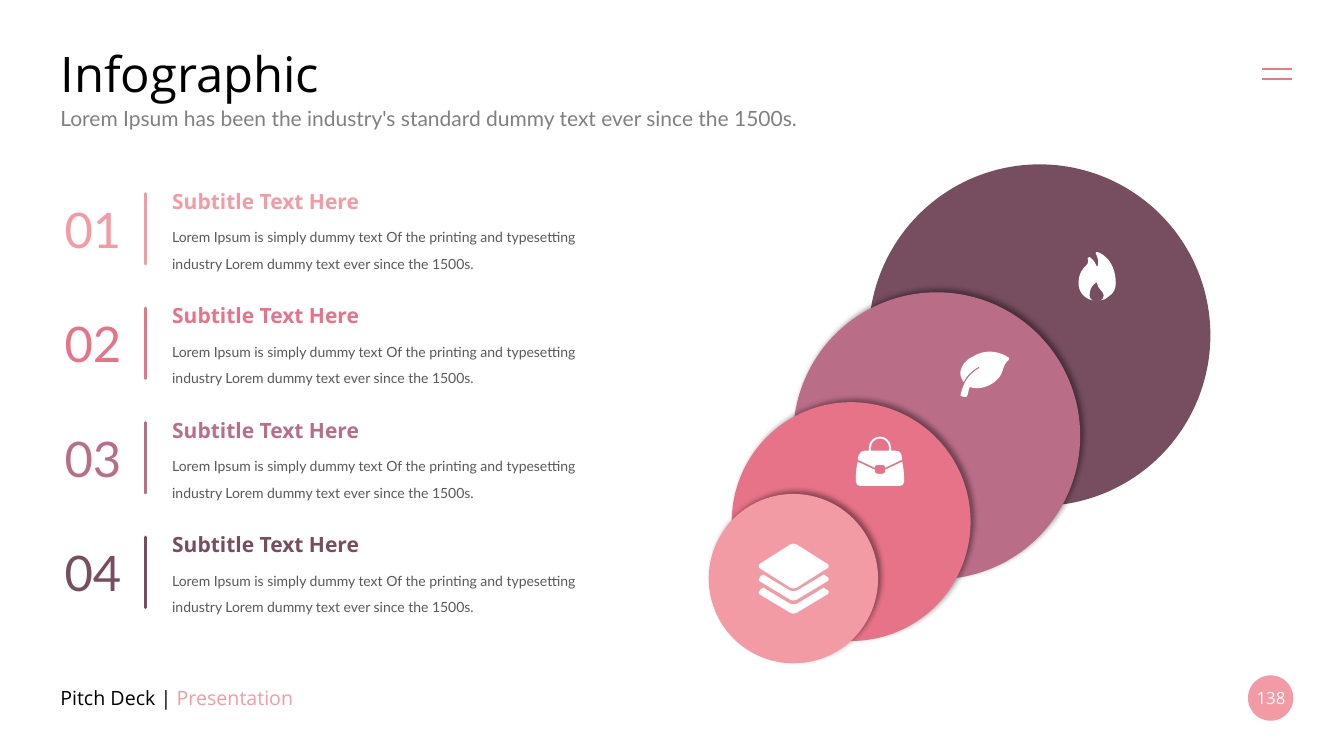
import lxml.etree
import pptx
import pptx.dml.color
import pptx.enum.shapes
import pptx.enum.text
import pptx.oxml.ns
import pptx.util

Pt = pptx.util.Pt
RGBColor = pptx.dml.color.RGBColor
ALIGN = pptx.enum.text.PP_ALIGN
ANCHOR = pptx.enum.text.MSO_ANCHOR
OVAL = pptx.enum.shapes.MSO_SHAPE.OVAL
STRAIGHT = pptx.enum.shapes.MSO_CONNECTOR.STRAIGHT
qn = pptx.oxml.ns.qn

BLACK = RGBColor(0x00, 0x00, 0x00)
WHITE = RGBColor(0xFF, 0xFF, 0xFF)
GRAY = RGBColor(0x80, 0x80, 0x80)
DARK_GRAY = RGBColor(0x59, 0x59, 0x59)
PINK = RGBColor(0xF2, 0x9B, 0xA5)
CORAL = RGBColor(0xED, 0x78, 0x85)
ROSE = RGBColor(0xE7, 0x73, 0x88)
MAUVE = RGBColor(0xBA, 0x6D, 0x87)
PLUM = RGBColor(0x77, 0x4E, 0x60)

ICON_UNIT = 0.72
ITEM_PITCH = 81.8
BODY = ("Lorem Ipsum is simply dummy text Of the printing and typesetting "
        "industry Lorem dummy text ever since the 1500s.")

FLAME = [[
    (28, 6), (23, 1, 19, 0, 18, 0), (17, 1), (20, 7, 20, 11, 19, 14), (18, 14),
    (16, 8, 11, 5, 11, 5), (9, 6), (11, 11, 8, 13, 5, 16), (2, 20, 0, 24, 0, 31),
    (0, 39, 5, 46, 14, 48), (12, 47, 11, 46, 11, 43), (11, 33, 18, 30, 18, 30),
    (19, 37, 25, 39, 25, 43), (25, 46, 24, 47, 22, 48), (25, 48, 28, 46, 30, 44),
    (35, 41, 37, 36, 37, 31), (37, 18, 32, 10, 28, 6),
]]
LEAF = [[
    (49, 8), (37, 0, 24, 0, 13, 7), (6, 10, 2, 16, 1, 21), (0, 25, 2, 29, 4, 32),
    (7, 26, 12, 21, 19, 17), (20, 18), (7, 25, 3, 36, 1, 45), (1, 46), (5, 47),
    (7, 47, 7, 47, 8, 45), (8, 42, 10, 39, 10, 37), (20, 41, 33, 35, 38, 29),
    (41, 26, 42, 23, 43, 20), (44, 16, 46, 12, 49, 10),
]]
BAG = [
    [(19, 30), (19, 29, 20, 28, 22, 28), (26, 28), (28, 28, 29, 29, 29, 30), (29, 31),
     (46, 23), (46, 21, 45, 19, 45, 17), (44, 15, 42, 14, 39, 14), (35, 14), (35, 11),
     (35, 5, 30, 0, 24, 0), (18, 0, 13, 5, 13, 11), (13, 14), (9, 14),
     (6, 14, 4, 16, 4, 17), (2, 19, 2, 21, 2, 23), (19, 31)],
    [(15, 11), (15, 6, 19, 2, 24, 2), (29, 2, 33, 6, 33, 11), (33, 14), (15, 14)],
    [(46, 25), (29, 33), (29, 35), (29, 36, 28, 37, 26, 37), (22, 37),
     (20, 37, 19, 36, 19, 35), (19, 33), (2, 25), (0, 32, 0, 39, 0, 45),
     (0, 47, 2, 49, 4, 49), (44, 49), (46, 49, 48, 47, 48, 45), (48, 44, 48, 33, 46, 25)],
]
LAYERS = [
    [(70, 48 + drop), (70, 50 + drop, 69, 51 + drop, 68, 51 + drop), (38, 69 + drop),
     (36, 70 + drop, 34, 70 + drop, 32, 69 + drop), (2, 51 + drop),
     (0, 51 + drop, 0, 47 + drop, 2, 46 + drop), (5, 44 + drop), (30, 59 + drop),
     (33, 61 + drop, 37, 61 + drop, 40, 59 + drop), (65, 44 + drop), (68, 46 + drop),
     (69, 46 + drop, 70, 47 + drop, 70, 48 + drop)]
    for drop in (0, -13)
] + [
    [(2, 25), (32, 44), (34, 45, 36, 45, 38, 44), (68, 25), (69, 25, 70, 24, 70, 23),
     (70, 21, 69, 20, 68, 20), (38, 1), (36, 0, 34, 0, 32, 1), (2, 20),
     (0, 20, 0, 25, 2, 25)],
]


def style_paragraph(paragraph, size, font_name, color, align=ALIGN.LEFT, bold=False):
    """Format a paragraph whose runs agree."""
    paragraph.alignment = align
    paragraph.font.size = Pt(size)
    paragraph.font.name = font_name
    paragraph.font.bold = bold
    paragraph.font.color.rgb = color


def add_text(slide, box, text, size, font_name, color, align=ALIGN.LEFT, bold=False,
             anchor=ANCHOR.TOP):
    """Add a wrapped text box and return its paragraph."""
    frame = slide.shapes.add_textbox(*map(Pt, box)).text_frame
    frame.word_wrap = True
    frame.vertical_anchor = anchor
    paragraph = frame.paragraphs[0]
    paragraph.text = text
    style_paragraph(paragraph, size, font_name, color, align, bold)
    return paragraph


def add_rule(slide, start, end, color, width):
    """Add a straight line without a shadow."""
    connector = slide.shapes.add_connector(STRAIGHT, *map(Pt, start + end))
    connector.line.color.rgb = color
    connector.line.width = Pt(width)
    lxml.etree.SubElement(connector._element.spPr, qn("a:effectLst"))
    return connector


def add_circle(slide, left, top, size, color, shadow=False):
    """Add a plain disc, with a soft shadow to the upper right if asked."""
    circle = slide.shapes.add_shape(OVAL, Pt(left), Pt(top), Pt(size), Pt(size))
    circle.fill.solid()
    circle.fill.fore_color.rgb = color
    circle.line.fill.background()
    circle.shadow.inherit = False
    if shadow:
        effects = circle._element.spPr.find(qn("a:effectLst"))
        outer = lxml.etree.SubElement(
            effects, qn("a:outerShdw"), blurRad=str(Pt(4)), dist=str(Pt(3)),
            dir=str(315 * 60000), algn="bl", rotWithShape="0")
        black = lxml.etree.SubElement(outer, qn("a:srgbClr"), val="000000")
        lxml.etree.SubElement(black, qn("a:alpha"), val="40000")


def bend_segments(icon, contours):
    """Turn the straight segments of an icon into the cubic curves of its contours."""
    segments = [segment for contour in contours for segment in contour]
    nodes = [node for node in icon._element.iter(qn("a:moveTo"), qn("a:lnTo"))]
    for node, segment in zip(nodes, segments):
        if len(segment) == 6:
            node.tag = qn("a:cubicBezTo")
            for place, start in enumerate((0, 2)):
                x, y = segment[start:start + 2]
                point = lxml.etree.Element(qn("a:pt"), x=str(Pt(x * ICON_UNIT)),
                                           y=str(Pt(y * ICON_UNIT)))
                node.insert(place, point)


def add_icon(slide, left, top, contours):
    """Add a white icon as one freeform with its top left at the given place."""
    outlines = [[tuple(Pt(value * ICON_UNIT) for value in segment[-2:])
                 for segment in contour] for contour in contours]
    builder = slide.shapes.build_freeform(*outlines[0][0])
    for index, points in enumerate(outlines):
        if index:
            builder.move_to(*points[0])
        builder.add_line_segments(points[1:], close=True)
    icon = builder.convert_to_shape()
    across, down = icon.left, icon.top
    bend_segments(icon, contours)
    for point in icon._element.iter(qn("a:cubicBezTo")):
        for control in point[:2]:
            control.set("x", str(int(control.get("x")) - across))
            control.set("y", str(int(control.get("y")) - down))
    icon.left, icon.top = Pt(left) + across, Pt(top) + down
    icon.fill.solid()
    icon.fill.fore_color.rgb = WHITE
    icon.line.fill.background()
    icon.shadow.inherit = False


def add_header(slide, left, top, width):
    """Place the title, the subtitle and the menu mark."""
    title = slide.shapes.title
    title.left, title.top, title.width, title.height = map(Pt, (left, top, width, 47.5))
    title.text_frame.text = "Infographic"
    title.text_frame.vertical_anchor = ANCHOR.MIDDLE
    style_paragraph(title.text_frame.paragraphs[0], 35, "Open Sans", BLACK)
    add_text(slide, (left, top + 43.6, width, 25.2),
             "Lorem Ipsum has been the industry's standard dummy text ever since the 1500s.",
             15, "Lato", GRAY)
    for y in (top + 21, top + 28.7):
        add_rule(slide, (left + 865.6, y), (left + 886.9, y), CORAL, 1.5)


def add_item(slide, left, top, number, color):
    """Place one numbered entry with its rule, heading and text."""
    add_text(slide, (left + 0.2, top + 7.7, 73.4, 49.7), number, 35, "Lato", color,
             ALIGN.RIGHT)
    rule = add_rule(slide, (left + 83.8, top + 7.2), (left + 83.8, top + 57.6), color, 2)
    rule.line._get_or_add_ln().set("cap", "rnd")
    add_text(slide, (left + 95.7, top, 239, 25.2), "Subtitle Text Here", 15, "Open Sans",
             color, bold=True)
    body = add_text(slide, (left + 95.7, top + 21.9, 309.6, 43.2), BODY, 10, "Lato", DARK_GRAY)
    body.line_spacing = Pt(19)


def add_circles(slide, left, top):
    """Place the overlapping circles, largest first, each with its icon."""
    circles = [
        (114.4, 0, 244, PLUM, FLAME, 149.8, 62.6),
        (60.4, 91.4, 205, MAUVE, LEAF, 118.8, 41),
        (16.5, 169.9, 170.6, ROSE, BAG, 88.6, 24.5),
        (0, 235.4, 121, PINK, LAYERS, 35.4, 35.3),
    ]
    for index, (x, y, size, color, icon, icon_x, icon_y) in enumerate(circles):
        add_circle(slide, left + x, top + y, size, color, shadow=index > 0)
        add_icon(slide, left + x + icon_x, top + y + icon_y, icon)


def add_footer(slide, left, top):
    """Place the deck name and the page number badge."""
    name = add_text(slide, (left, top + 1.4, 237, 28.8), "Pitch Deck | ", 14, "Open Sans",
                    BLACK, anchor=ANCHOR.MIDDLE)
    accent = name.add_run()
    accent.text = "Presentation"
    accent.font.color.rgb = PINK
    add_circle(slide, left + 855.4, top, 32.4, PINK)
    add_text(slide, (left + 852.5, top + 8, 38.9, 15.8), "138", 12, "Open Sans", WHITE,
             ALIGN.CENTER, anchor=ANCHOR.MIDDLE)


def main():
    """Build the slide and save it."""
    presentation = pptx.Presentation()
    presentation.slide_width, presentation.slide_height = Pt(960), Pt(540)
    slide = presentation.slides.add_slide(presentation.slide_layouts[5])
    add_header(slide, 36, 28, 888)
    for index, color in enumerate((PINK, ROSE, MAUVE, PLUM)):
        add_item(slide, 20.2, 131 + index * ITEM_PITCH, f"{index + 1:02d}", color)
    add_circles(slide, 506.2, 117.4)
    add_footer(slide, 36, 482.4)
    presentation.save("out.pptx")


if __name__ == "__main__":
    main()
